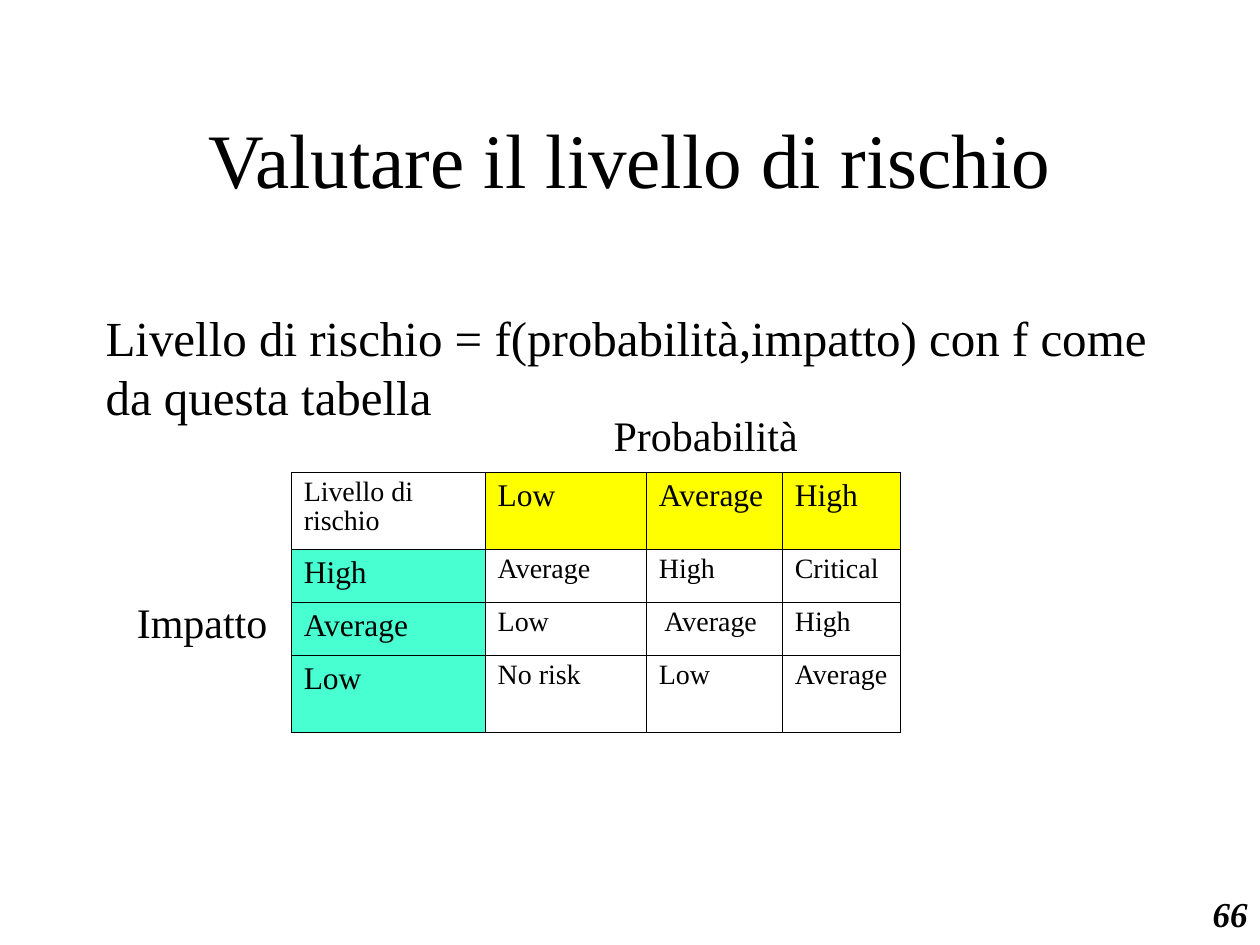
import pptx
import pptx.util
import pptx.dml.color
import pptx.enum.text
import pptx.oxml
import pptx.oxml.ns

Cm, Pt = pptx.util.Cm, pptx.util.Pt
ALIGN = pptx.enum.text.PP_ALIGN
MID = pptx.enum.text.MSO_ANCHOR.MIDDLE
GROW = pptx.enum.text.MSO_AUTO_SIZE.SHAPE_TO_FIT_TEXT
BLACK, WHITE, YELLOW, GREEN = "000000", "FFFFFF", "FFFF00", "47FFD1"


def color(code):
    return pptx.dml.color.RGBColor.from_string(code)


def write(frame, text, size, align=ALIGN.LEFT, space=1.0):
    frame.text = text
    par = frame.paragraphs[0]
    par.alignment = align
    par.line_spacing = space
    font = par.runs[0].font
    font.name = "Times New Roman"
    font.size = Pt(size)
    font.color.rgb = color(BLACK)
    return font


deck = pptx.Presentation()
deck.slide_width, deck.slide_height = Cm(25.4), Cm(19.05)
slide = deck.slides.add_slide(deck.slide_layouts[6])

# Page number
box = slide.shapes.add_textbox(Cm(17.78), Cm(17.78), Cm(7.62), Cm(1.27))
box.text_frame.word_wrap = True
box.text_frame.vertical_anchor = MID
font = write(box.text_frame, "66", 20, ALIGN.RIGHT)
font.bold = font.italic = True

# Title
box = slide.shapes.add_textbox(Cm(1.9), Cm(1.7), Cm(21.6), Cm(3.18))
box.text_frame.word_wrap = True
box.text_frame.vertical_anchor = MID
write(box.text_frame, "Valutare il livello di rischio", 44, ALIGN.CENTER, 0.9)

# Risk table: probability across, impact down
rows = [
    ["Livello di rischio", "Low", "Average", "High"],
    ["High", "Average", "High", "Critical"],
    ["Average", "Low", " Average", "High"],
    ["Low", "No risk", "Low", "Average"],
]
wides = [3.91, 3.25, 2.74, 2.39]
highs = [1.55, 1.07, 1.07, 1.55]
table = slide.shapes.add_table(
    4, 4, Cm(5.87), Cm(9.52), Cm(sum(wides)), Cm(sum(highs))).table
for col, wide in zip(table.columns, wides):
    col.width = Cm(wide)
for row, high in zip(table.rows, highs):
    row.height = Cm(high)

for r, row in enumerate(rows):
    for c, text in enumerate(row):
        cell = table.cell(r, c)
        head = (r == 0) != (c == 0)
        if head:
            write(cell.text_frame, text, 18)
        else:
            write(cell.text_frame, text, 16, space=0.93)

        # Thin black borders, heavier on the right edge
        props = cell._tc.get_or_add_tcPr()
        for side in "LRTB":
            width = Pt(0.5) if side == "R" and c == 3 else Pt(0.23)
            props.append(pptx.oxml.parse_xml(
                f'<a:ln{side} {pptx.oxml.ns.nsdecls("a")} w="{width}">'
                f'<a:solidFill><a:srgbClr val="{BLACK}"/></a:solidFill>'
                f'</a:ln{side}>'))

        cell.fill.solid()
        shade = (YELLOW if r == 0 else GREEN) if head else WHITE
        cell.fill.fore_color.rgb = color(shade)

# Axis labels, growing with their text
for text, left, top, wide in [("Probabilità", 12.12, 8.13, 4.25),
                              ("Impatto", 2.51, 11.91, 3.2)]:
    box = slide.shapes.add_textbox(Cm(left), Cm(top), Cm(wide), Cm(1.27))
    box.text_frame.word_wrap = False
    box.text_frame.auto_size = GROW
    write(box.text_frame, text, 24)

# Formula
box = slide.shapes.add_textbox(Cm(1.88), Cm(6.07), Cm(21.8), Cm(1.75))
box.text_frame.word_wrap = True
write(box.text_frame, "Livello di rischio = f(probabilità,impatto) con f come "
      "da questa tabella", 28)

deck.save("out.pptx")
